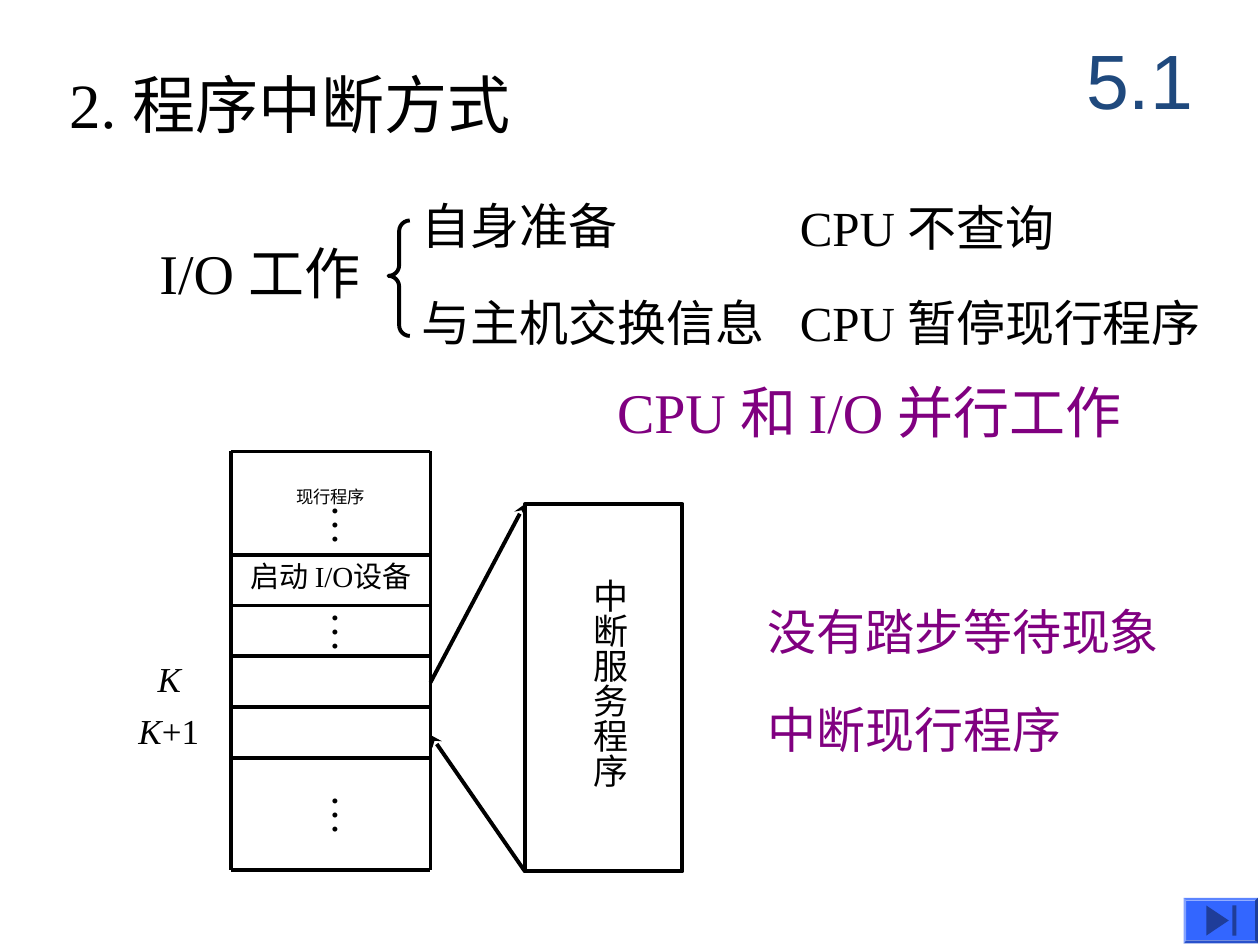
from lxml import etree
from pptx import Presentation
from pptx.dml.color import RGBColor
from pptx.enum.shapes import MSO_CONNECTOR as Link, MSO_SHAPE as Preset
from pptx.enum.text import MSO_ANCHOR as Anchor, MSO_AUTO_SIZE as Fit, PP_ALIGN as Align
from pptx.oxml.ns import qn
from pptx.util import Pt

BLACK, PURPLE, NAVY, BLUE, DARK_BLUE = "000000", "800080", "1F497D", "3366FF", "1F3D99"
SERIF = "Times New Roman"
STROKE = 2.25


def color(hex_value):
    """Turn a hex string into a colour."""
    return RGBColor.from_string(hex_value)


def apply(target, values):
    """Set every attribute in a dict of format values."""
    for name, value in values.items():
        setattr(target, name, value)


def write(slide, box, runs, size, ink=BLACK, font=SERIF, wrap=False, vertical=False,
          insets=(7.2, 3.6, 7.2, 3.6), frame_format=None, paragraph_format=None):
    """Write (text, italic) runs in a text box; box is left, top, width, height."""
    frame = slide.shapes.add_textbox(*map(Pt, box)).text_frame
    sides = ("margin_left", "margin_top", "margin_right", "margin_bottom")
    apply(frame, dict(zip(sides, map(Pt, insets))))
    apply(frame, {"word_wrap": wrap, "auto_size": Fit.SHAPE_TO_FIT_TEXT, **(frame_format or {})})
    if vertical:
        frame._txBody.bodyPr.set("vert", "eaVert")
    paragraph = frame.paragraphs[0]
    apply(paragraph, paragraph_format or {})
    for text, italic in [(runs, False)] if isinstance(runs, str) else runs:
        run = paragraph.add_run()
        run.text = text
        apply(run.font, {"size": Pt(size), "name": font, "italic": italic})
        run.font.color.rgb = color(ink)


def write_vertical(slide, box, text, size):
    """Write a column of upright characters."""
    write(slide, box, text, size, vertical=True, insets=(3.6, 7.2, 3.6, 7.2))


def draw_line(slide, start, end, arrow=False):
    """Draw a black line, with an arrowhead at its end if asked."""
    link = slide.shapes.add_connector(Link.STRAIGHT, *map(Pt, (*start, *end)))
    link.line.width = Pt(STROKE)
    link.line.color.rgb = color(BLACK)
    if arrow:
        etree.SubElement(link.line._get_or_add_ln(), qn("a:tailEnd"), type="stealth")
    etree.SubElement(link._element.spPr, qn("a:effectLst"))


def outline(shape):
    """Leave a shape unfilled with a black outline."""
    shape.shadow.inherit = False
    shape.fill.background()
    shape.line.width = Pt(STROKE)
    shape.line.color.rgb = color(BLACK)


def paint(shape, hex_value):
    """Fill a shape and drop its outline."""
    shape.shadow.inherit = False
    shape.fill.solid()
    shape.fill.fore_color.rgb = color(hex_value)
    shape.line.fill.background()


def add_heading(slide, left, top, width):
    """Place the title and the section number."""
    write(slide, (left, top + 21.6, 280, 50.4), "2. 程序中断方式", 36, wrap=True)
    write(slide, (left + width - 90, top, 90, 66), "5.1", 44, NAVY, "Arial", wrap=True,
          frame_format={"auto_size": Fit.NONE, "vertical_anchor": Anchor.MIDDLE},
          paragraph_format={"alignment": Align.CENTER})


def add_io_work(slide, left, top):
    """Place the two stages of I/O work and what the CPU does in each."""
    write(slide, (left, top + 24.5, 162, 46), "I/O 工作", 32, wrap=True)
    brace = slide.shapes.add_shape(Preset.LEFT_BRACE, *map(Pt, (left + 138, top + 18, 12.2, 66)))
    brace.adjustments[0], brace.adjustments[1] = 0.5, 0.48
    outline(brace)
    stages = [(0, "自身准备", 1.5, "CPU 不查询"), (55.5, "与主机交换信息", 0, "CPU 暂停现行程序")]
    for drop, stage, shift, reaction in stages:
        write(slide, (left + 150, top + drop, 259, 41), stage, 28, wrap=True)
        write(slide, (left + 366, top + drop + shift, 301, 41), reaction, 28, wrap=True)
    write(slide, (left + 261.5, top + 104, 336, 46), "CPU 和 I/O 并行工作", 32, PURPLE, wrap=True)


def add_program(slide, left, top, width, rows):
    """Draw the running program as a column of rows with the given line heights."""
    bottom, right = top + rows[-1], left + width
    for row in rows:
        draw_line(slide, (left, top + row), (right, top + row))
    for side in (left, right):
        draw_line(slide, (side, top), (side, bottom))
    for drop in (23, 84.2, 188.6):
        write_vertical(slide, (left + 43, top + drop, 43, 31.7), "…", 24)
    labels = [(0, 12.5, 9.9, "现行程序", 0.8), (3.6, 58, 16.6, "启动 I/O设备", 0.9)]
    for shift, drop, size, label, spacing in labels:
        write(slide, (left + shift, top + drop, width, 29), label, size, wrap=True,
              insets=(7.2 - 2 * shift, 0, 7.2, 0),
              frame_format={"auto_size": Fit.NONE, "vertical_anchor": Anchor.MIDDLE},
              paragraph_format={"alignment": Align.CENTER, "line_spacing": spacing})
    write(slide, (left - 49, top + 114, 27.4, 31.7), [("K", True)], 20)
    write(slide, (left - 60, top + 144, 49, 31.7), [("K", True), ("+1", False)], 20)


def add_service(slide, left, top, width, height, exit_point, return_point):
    """Draw the interrupt service program with its call and return arrows."""
    outline(slide.shapes.add_shape(Preset.RECTANGLE, *map(Pt, (left, top, width, height))))
    write_vertical(slide, (left + 26, top + 35.6, 38.2, 127.4), "中断服务程序", 20)
    draw_line(slide, exit_point, (left, top), arrow=True)
    draw_line(slide, (left, top + height), return_point, arrow=True)


def add_remarks(slide, left, top, width, gap):
    """Place the two concluding remarks."""
    for index, remark in enumerate(["没有踏步等待现象", "中断现行程序"]):
        write(slide, (left, top + index * gap, width, 41), remark, 28, PURPLE, wrap=True)


def add_end_button(slide, left, top, width, height):
    """Draw the bevelled button with its jump-to-end symbol."""
    button = slide.shapes.add_shape(Preset.BEVEL, *map(Pt, (left, top, width, height)))
    button.adjustments[0] = 0.06
    paint(button, BLUE)
    middle = top + height / 2
    tip = (Pt(left + 25.9), Pt(middle))
    back = [(Pt(left + 13), Pt(middle + half)) for half in (8.6, -8.6)]
    triangle = slide.shapes.build_freeform(*tip)
    triangle.add_line_segments(back, close=True)
    paint(triangle.convert_to_shape(), DARK_BLUE)
    bar = slide.shapes.add_shape(Preset.RECTANGLE, *map(Pt, (left + 28, middle - 8.6, 2.2, 17.2)))
    paint(bar, DARK_BLUE)


def main():
    """Build and save the slide."""
    deck = Presentation()
    apply(deck, {"slide_width": Pt(720), "slide_height": Pt(540)})
    slide = deck.slides.add_slide(deck.slide_layouts[6])
    add_heading(slide, 32.4, 12.2, 663.8)
    add_io_work(slide, 84, 108)
    rows = [0, 59] + [59 + 29 * step for step in range(1, 5)] + [239]
    add_program(slide, 132, 258, 114, rows)
    add_service(slide, 300, 288, 90, 210, (246, 390), (246, 420))
    add_remarks(slide, 431.5, 340, 248, 56)
    add_end_button(slide, 676.3, 513, 42.5, 26)
    deck.save("out.pptx")


if __name__ == "__main__":
    main()
